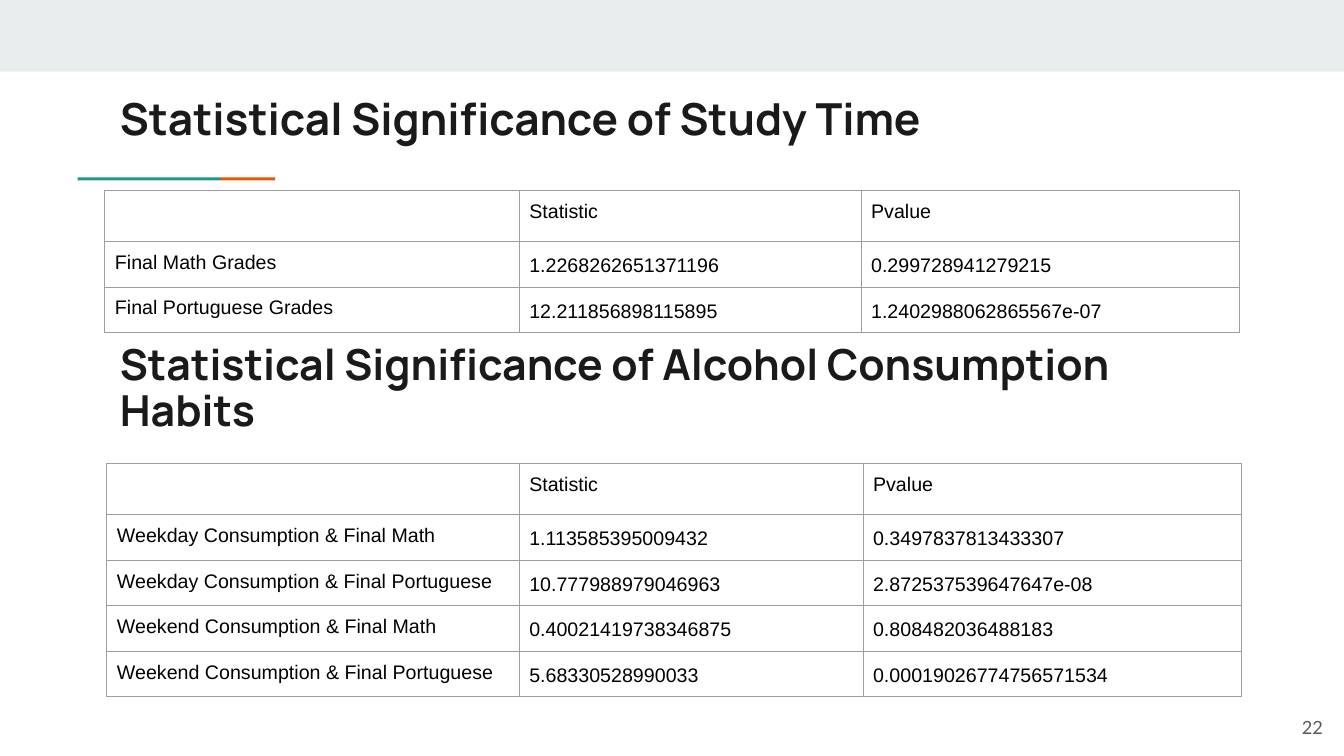
from lxml.etree import SubElement
from pptx import Presentation
from pptx.dml.color import RGBColor
from pptx.enum.shapes import MSO_SHAPE as Shape
from pptx.enum.text import MSO_ANCHOR as Anchor, MSO_AUTO_SIZE as AutoSize, PP_ALIGN as Align
from pptx.oxml.ns import qn
from pptx.util import Inches, Pt

WIDTH, HEIGHT = 13.33, 7.5
COMPARISON_LAYOUT = 4


def color(hex_code):
    return RGBColor.from_string(hex_code)


def assign(target, formats):
    for name, value in formats.items():
        setattr(target, name, value)


class StatsSlide:
    ink, cell_ink, muted = "1A1A1A", "000000", "595959"
    band, teal, orange, rule = "E9EDEE", "1A9988", "EB5600", "9E9E9E"
    heading_font, cell_font, number_font = "Manrope", "Arial", "Lato"
    heading_inset, cell_inset = 0.13, 0.1
    row_height, rule_width = 0.42, 0.75

    def __init__(self, deck):
        self.slide = deck.slides.add_slide(deck.slide_layouts[COMPARISON_LAYOUT])
        self.shapes = self.slide.shapes
        self.title, self.subtitle, *unused = self.slide.placeholders
        for placeholder in unused:
            placeholder.element.getparent().remove(placeholder.element)

    def box(self, left, top, width, height):
        return dict(left=Inches(left), top=Inches(top),
                    width=Inches(width), height=Inches(height))

    def margins(self, inset):
        sides = ("left", "top", "right", "bottom")
        return {f"margin_{side}": Inches(inset) for side in sides}

    def bar(self, left, top, width, height, fill):
        bar = self.shapes.add_shape(Shape.RECTANGLE, **self.box(left, top, width, height))
        bar.shadow.inherit = False
        bar.fill.solid()
        bar.fill.fore_color.rgb = color(fill)
        bar.line.fill.background()

    def add_text(self, frame, text, font, size, ink, bold=False, **paragraph_formats):
        paragraph = frame.paragraphs[0]
        assign(paragraph, paragraph_formats)
        run = paragraph.add_run()
        run.text = text
        assign(run.font, dict(name=font, size=Pt(size), bold=bold))
        run.font.color.rgb = color(ink)

    def heading(self, placeholder, text, place, size, spacing):
        assign(placeholder, self.box(*place))
        frame = placeholder.text_frame
        assign(frame, dict(word_wrap=True, auto_size=AutoSize.NONE,
                           vertical_anchor=Anchor.TOP, **self.margins(self.heading_inset)))
        self.add_text(frame, text, self.heading_font, size, self.ink, bold=True,
                      alignment=Align.LEFT, line_spacing=spacing, space_before=Pt(0))

    def page_number(self, text, place):
        frame = self.shapes.add_textbox(**self.box(*place)).text_frame
        assign(frame, dict(word_wrap=True, vertical_anchor=Anchor.MIDDLE,
                           **self.margins(self.heading_inset)))
        self.add_text(frame, text, self.number_font, 13, self.muted, alignment=Align.RIGHT)

    def borders(self, cell):
        properties = cell._tc.get_or_add_tcPr()
        # Border lines come before the fill in a cell's properties
        for position, side in enumerate(("lnL", "lnR", "lnT", "lnB")):
            line = SubElement(properties, qn(f"a:{side}"), w=str(Pt(self.rule_width)))
            fill = SubElement(line, qn("a:solidFill"))
            SubElement(fill, qn("a:srgbClr"), val=self.rule)
            properties.insert(position, line)

    def table(self, left, top, columns, records):
        rows = [("", "Statistic", "Pvalue"), *records]
        place = self.box(left, top, sum(columns), self.row_height * len(rows))
        table = self.shapes.add_table(len(rows), len(columns), **place).table
        assign(table, dict(first_row=False, horz_banding=False))
        for column, width in zip(table.columns, columns):
            column.width = Inches(width)
        for r, row in enumerate(rows):
            for c, text in enumerate(row):
                cell = table.cell(r, c)
                assign(cell, self.margins(self.cell_inset))
                cell.fill.background()
                self.borders(cell)
                is_value = r > 0 and c > 0
                spacing = dict(line_spacing=1.15, space_after=Pt(16)) if is_value else {}
                if text:
                    self.add_text(cell.text_frame, text, self.cell_font, 14,
                                  self.cell_ink, **spacing)


def main():
    deck = Presentation()
    assign(deck, dict(slide_width=Inches(WIDTH), slide_height=Inches(HEIGHT)))
    stats = StatsSlide(deck)

    # Top band and two-colour accent
    stats.bar(0, 0, WIDTH, 0.71, stats.band)
    stats.bar(0.77, 1.76, 1.42, 0.03, stats.teal)
    stats.bar(2.19, 1.76, 0.54, 0.03, stats.orange)

    # Study time
    stats.heading(stats.title, "Statistical Significance of Study Time",
                  (1.06, 0.78, 11.21, 0.78), 31.5, 1.0)
    stats.table(1.04, 1.89, (4.11, 3.39, 3.75), [
        ("Final Math Grades", "1.2268262651371196", "0.299728941279215"),
        ("Final Portuguese Grades", "12.211856898115895", "1.2402988062865567e-07"),
    ])

    # Alcohol consumption
    stats.heading(stats.subtitle, "Statistical Significance of Alcohol Consumption Habits",
                  (1.06, 3.28, 11.21, 1.37), 30.5, 0.9)
    stats.table(1.06, 4.6, (4.09, 3.41, 3.75), [
        ("Weekday Consumption & Final Math", "1.113585395009432", "0.3497837813433307"),
        ("Weekday Consumption & Final Portuguese", "10.777988979046963", "2.872537539647647e-08"),
        ("Weekend Consumption & Final Math", "0.40021419738346875", "0.808482036488183"),
        ("Weekend Consumption & Final Portuguese", "5.68330528990033", "0.00019026774756571534"),
    ])

    # Page number
    stats.page_number("22", (12.45, 6.93, 0.8, 0.57))

    deck.save("out.pptx")


if __name__ == "__main__":
    main()
